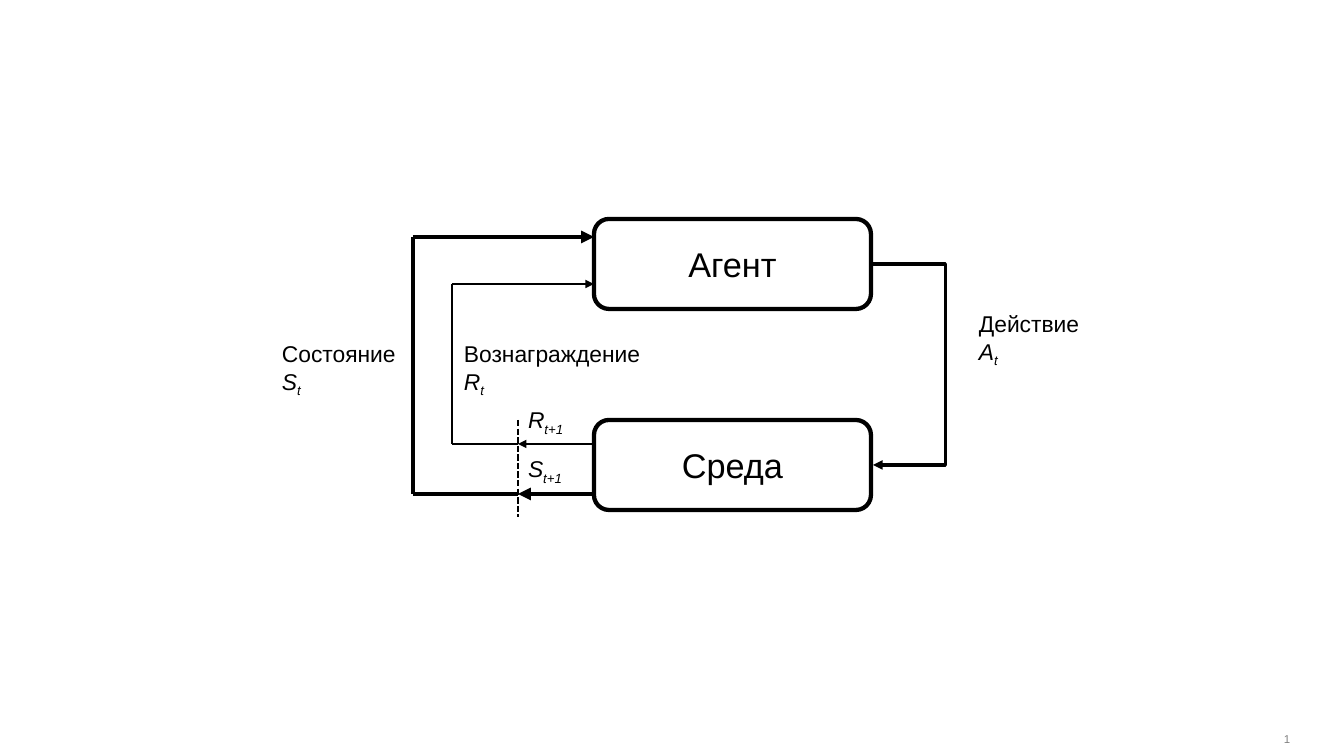
"""Draw the agent and environment loop of reinforcement learning."""
from dataclasses import dataclass

import lxml.etree
import pptx
import pptx.dml.color
import pptx.enum.dml
import pptx.enum.shapes
import pptx.enum.text
import pptx.oxml.ns
import pptx.util

EMU_PER_PIXEL = 8895


@dataclass(frozen=True)
class Theme:
    """Hold the font, colours, type sizes and line weights."""
    font: str = "Arial"
    ink: str = "000000"
    paper: str = "FFFFFF"
    muted: str = "808080"
    node_size: int = 24
    label_size: int = 16
    number_size: int = 8
    thin: float = 1.5
    medium: float = 2.25
    thick: float = 3


@dataclass(frozen=True)
class Box:
    """Place a rectangle in pixels."""
    left: int
    top: int
    width: int
    height: int

    @property
    def right(self) -> int:
        """Return the right edge."""
        return self.left + self.width

    @property
    def middle(self) -> int:
        """Return the vertical centre."""
        return self.top + self.height // 2


@dataclass(frozen=True)
class Node:
    """Describe one side of the loop."""
    name: str
    box: Box


@dataclass(frozen=True)
class Signal:
    """Describe a symbol with its subscript and an optional caption."""
    caption: str
    symbol: str
    step: str
    box: Box
    inset: int = 0


@dataclass(frozen=True)
class Feedback:
    """Describe a path from the environment back to the agent."""
    left: int
    top: int
    bottom: int
    weight: float


THEME = Theme()
AGENT = Node("Агент", Box(594, 219, 277, 90))
ENVIRONMENT = Node("Среда", Box(594, 420, 277, 90))
SIGNALS = (
    Signal("Действие", "A", "t", Box(979, 310, 119, 55)),
    Signal("Вознаграждение", "R", "t", Box(464, 340, 181, 55)),
    Signal("Состояние", "S", "t", Box(282, 340, 122, 55)),
    Signal("", "R", "t+1", Box(518, 401, 60, 38), 5),
    Signal("", "S", "t+1", Box(518, 450, 60, 38), 5),
)
FEEDBACKS = (
    Feedback(413, 237, 494, THEME.thick),
    Feedback(452, 284, 444, THEME.thin),
)
STEP_BOUNDARY = Box(518, 420, 0, 97)
ACTION_TURN = 946
PAGE_NUMBER = Box(1284, 732, 14, 13)


def px(pixels: int) -> pptx.util.Emu:
    """Turn pixels into EMU."""
    return pptx.util.Emu(pixels * EMU_PER_PIXEL)


def frame(box: Box) -> tuple:
    """Return left, top, width and height in EMU."""
    return px(box.left), px(box.top), px(box.width), px(box.height)


def colour(code: str) -> pptx.dml.color.RGBColor:
    """Read a hexadecimal colour."""
    return pptx.dml.color.RGBColor.from_string(code)


def style(paragraph, size: int, code: str = THEME.ink, italic: bool = False) -> None:
    """Set the font of a paragraph."""
    font = paragraph.font
    font.name, font.size, font.italic = THEME.font, pptx.util.Pt(size), italic
    font.color.rgb = colour(code)


def ink_line(line, weight: float) -> None:
    """Give a line its colour and weight."""
    line.color.rgb = colour(THEME.ink)
    line.width = pptx.util.Pt(weight)


def draw_node(shapes, node: Node) -> None:
    """Draw a rounded box with its name."""
    shape = shapes.add_shape(
        pptx.enum.shapes.MSO_SHAPE.ROUNDED_RECTANGLE, *frame(node.box))
    shape.shadow.inherit = False
    shape.fill.solid()
    shape.fill.fore_color.rgb = colour(THEME.paper)
    ink_line(shape.line, THEME.thick)
    shape.text_frame.vertical_anchor = pptx.enum.text.MSO_ANCHOR.MIDDLE
    paragraph = shape.text_frame.paragraphs[0]
    paragraph.text = node.name
    paragraph.alignment = pptx.enum.text.PP_ALIGN.CENTER
    style(paragraph, THEME.node_size)


def add_text_frame(shapes, box: Box, inset: int = 0):
    """Add a text box whose side margins are twice the top margin."""
    text = shapes.add_textbox(*frame(box)).text_frame
    text.margin_left = text.margin_right = px(2 * inset)
    text.margin_top = text.margin_bottom = px(inset)
    return text


def draw_signal(shapes, signal: Signal) -> None:
    """Write a caption above its symbol and subscript."""
    text = add_text_frame(shapes, signal.box, signal.inset)
    text.word_wrap = bool(signal.caption)
    formula = text.paragraphs[0]
    if signal.caption:
        formula.text = signal.caption
        style(formula, THEME.label_size)
        formula = text.add_paragraph()
    style(formula, THEME.label_size, italic=True)
    formula.add_run().text = signal.symbol
    subscript = formula.add_run()
    subscript.text = signal.step
    subscript.font._element.set("baseline", "-25000")


def draw_wire(shapes, start: tuple[int, int], end: tuple[int, int], weight: float,
              arrow: bool = False,
              kind=pptx.enum.shapes.MSO_CONNECTOR.STRAIGHT):
    """Draw a connector, with an arrowhead at its end if asked."""
    wire = shapes.add_connector(kind, *map(px, start + end))
    ink_line(wire.line, weight)
    if arrow:
        head = lxml.etree.SubElement(
            wire.line._get_or_add_ln(), pptx.oxml.ns.qn("a:tailEnd"))
        head.set("type", "triangle")
    lxml.etree.SubElement(wire._element.spPr, pptx.oxml.ns.qn("a:effectLst"))
    return wire


def draw_feedback(shapes, path: Feedback) -> None:
    """Draw a feedback path that pauses at the step boundary."""
    boundary = (STEP_BOUNDARY.left, path.bottom)
    lower, upper = (path.left, path.bottom), (path.left, path.top)
    draw_wire(shapes, (ENVIRONMENT.box.left, path.bottom), boundary, path.weight, True)
    draw_wire(shapes, boundary, lower, path.weight)
    draw_wire(shapes, lower, upper, path.weight)
    draw_wire(shapes, upper, (AGENT.box.left, path.top), path.weight, True)


def draw_action(shapes) -> None:
    """Draw the bent arrow from the agent to the environment."""
    start = (AGENT.box.right, AGENT.box.middle)
    end = (ENVIRONMENT.box.right + 2, ENVIRONMENT.box.middle)
    wire = draw_wire(shapes, start, end, THEME.medium, True,
                     pptx.enum.shapes.MSO_CONNECTOR.ELBOW)
    turn = (ACTION_TURN - start[0]) * 100000 // (end[0] - start[0])
    guides = wire._element.spPr.find(".//" + pptx.oxml.ns.qn("a:avLst"))
    lxml.etree.SubElement(guides, pptx.oxml.ns.qn("a:gd"),
                          name="adj1", fmla=f"val {turn}")


def draw_page_number(shapes) -> None:
    """Write the page number in the corner."""
    text = add_text_frame(shapes, PAGE_NUMBER)
    text.word_wrap = False
    text.vertical_anchor = pptx.enum.text.MSO_ANCHOR.MIDDLE
    text.text = "1"
    style(text.paragraphs[0], THEME.number_size, THEME.muted)


def main() -> None:
    """Build and save the slide."""
    deck = pptx.Presentation()
    deck.slide_width, deck.slide_height = px(1344), px(756)
    shapes = deck.slides.add_slide(deck.slide_layouts.get_by_name("Blank")).shapes
    draw_page_number(shapes)
    for node in (AGENT, ENVIRONMENT):
        draw_node(shapes, node)
    draw_action(shapes)
    for path in FEEDBACKS:
        draw_feedback(shapes, path)
    boundary = draw_wire(shapes, (STEP_BOUNDARY.left, STEP_BOUNDARY.top),
                         (STEP_BOUNDARY.left, STEP_BOUNDARY.top + STEP_BOUNDARY.height),
                         THEME.thin)
    boundary.line.dash_style = pptx.enum.dml.MSO_LINE.SQUARE_DOT
    for signal in SIGNALS:
        draw_signal(shapes, signal)
    deck.save("out.pptx")


main()
